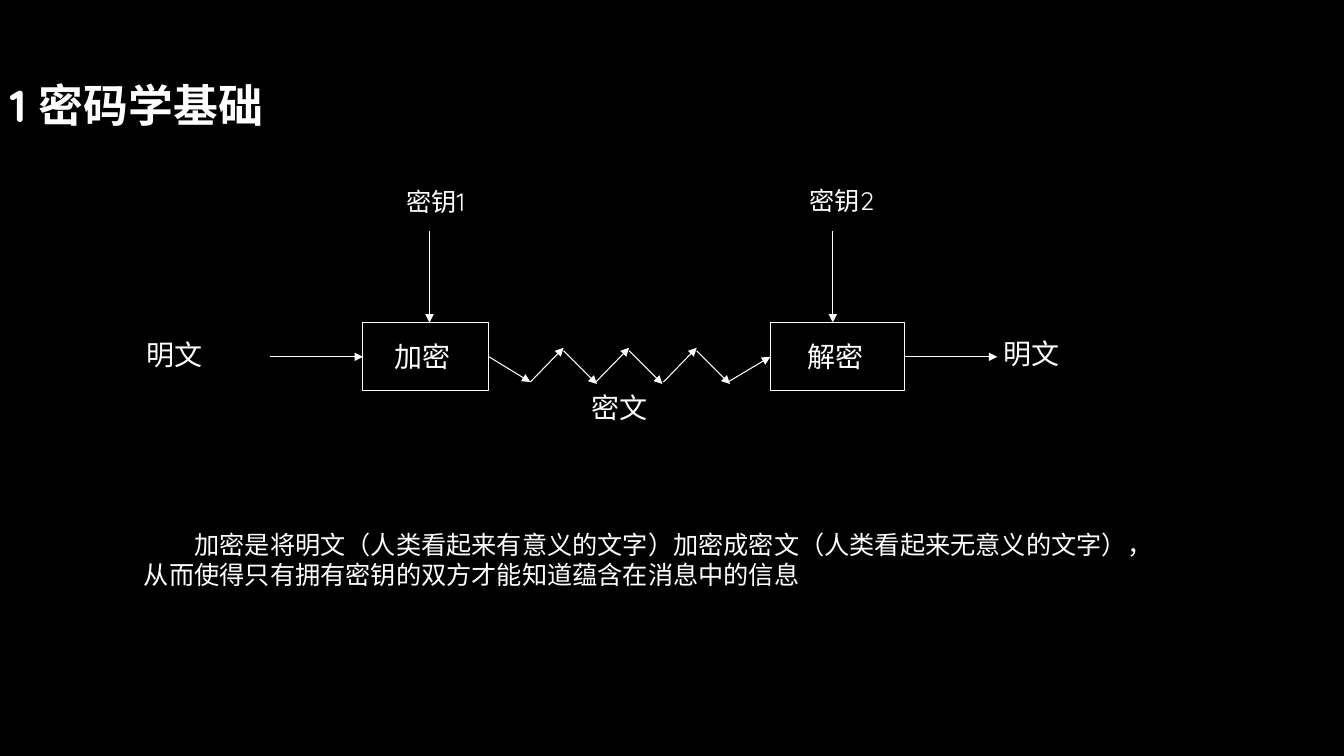
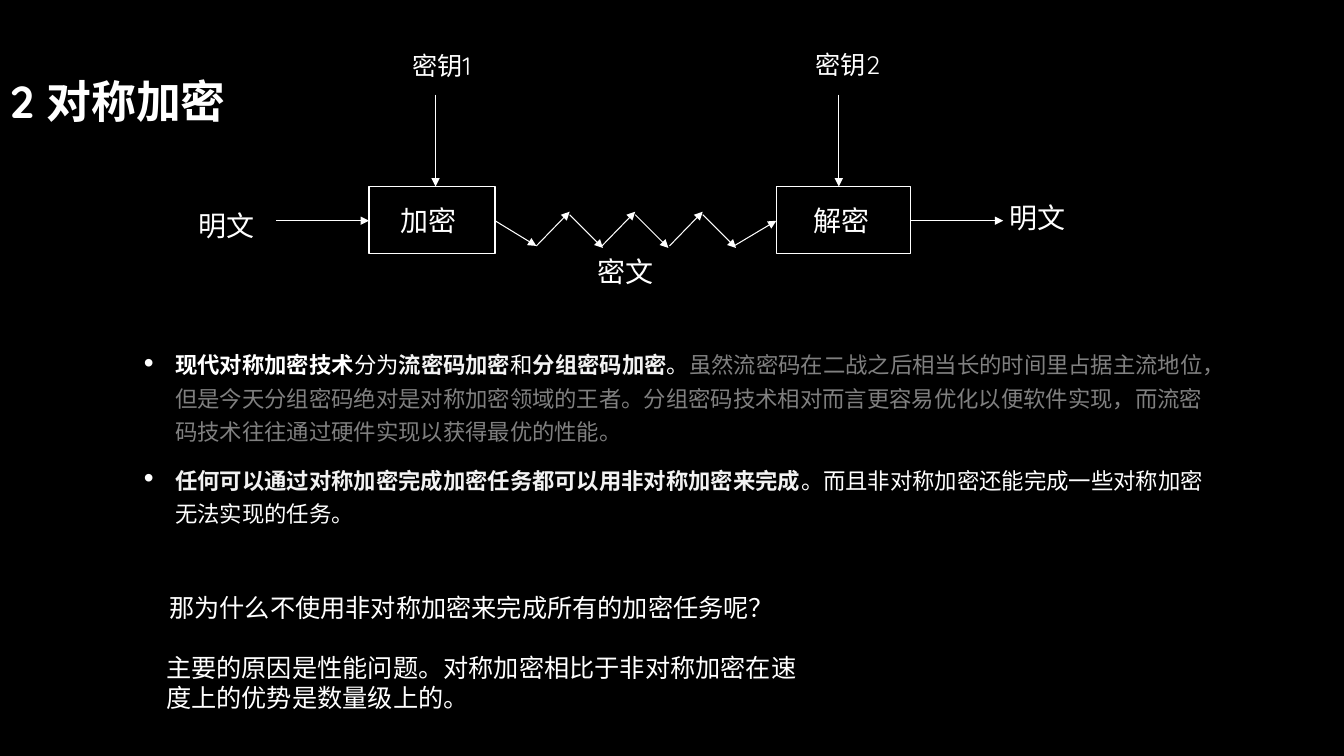
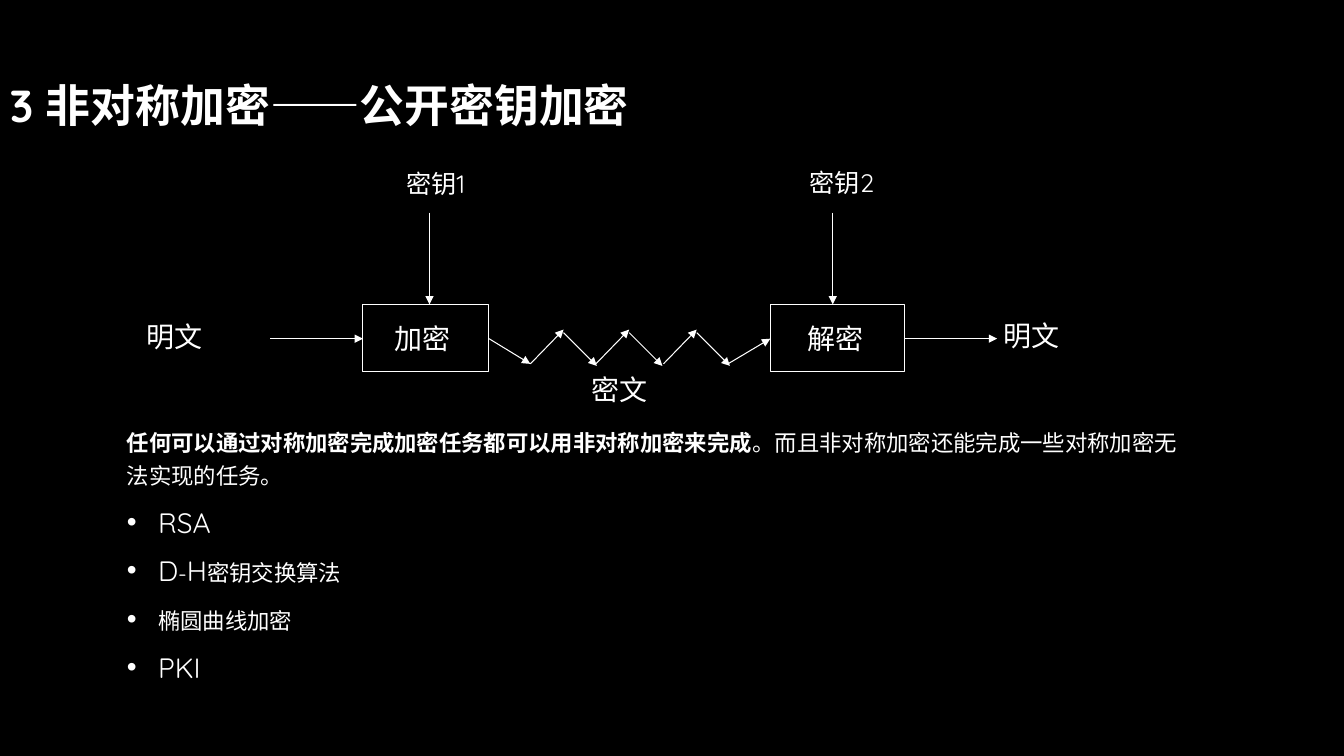
from lxml import etree
from pptx import Presentation
from pptx import util as u
from pptx.dml import color
from pptx.enum import shapes, text
from pptx.oxml import ns

Inches, Pt = u.Inches, u.Pt
FONT = "Quicksand"
WHITE, PALE, GREY = "FFFFFF", "F2F2F2", "808080"
TITLE_FADE = ("FFFFFF", "A6A6A6")
BODY_FADE = ("FFFFFF", "BFBFBF")


def paint(fill, start, end=None):
    """Fill with one hex colour, or with a downward fade between two."""
    if end is None:
        fill.solid()
        fill.fore_color.rgb = color.RGBColor.from_string(start)
        return
    fill.gradient()
    fill.gradient_angle = 267
    for stop, shade in zip(fill.gradient_stops, (start, end)):
        stop.color.rgb = color.RGBColor.from_string(shade)


def write(shape, paragraphs, size):
    """Write paragraphs, each a list of (words, colours, bold) runs."""
    frame = shape.text_frame
    frame.word_wrap = True
    for number, pieces in enumerate(paragraphs):
        paragraph = frame.add_paragraph() if number else frame.paragraphs[0]
        paragraph.alignment = text.PP_ALIGN.LEFT
        for words, colours, bold in pieces:
            run = paragraph.add_run()
            run.text = words
            run.font.name = FONT
            run.font.size = Pt(size)
            run.font.bold = bold
            paint(run.font.fill, *colours)
    return frame


# Content: title and its top, diagram shift, left and top of the first plaintext label
any_task = "任何可以通过对称加密完成加密任务都可以用非对称加密来完成"
more_tasks = "。而且非对称加密还能完成一些对称加密无法实现的任务。"
topics = [
    ("1 密码学基础", 0, (0, 0), (1.35, 3.3)),
    ("2 对称加密", -0.04, (0.06, -1.35), (1.87, 2.02)),
    ("3 非对称加密——公开密钥加密", 0, (0, -0.18), (1.35, 3.12)),
]

# Body paragraphs: (slide index, left, top, whether the first one has a bullet, paragraphs)
bodies = [
    (1, 1.33, 3.38, True, [
        [("现代对称加密技术", (WHITE,), True),
         ("分为", BODY_FADE, False),
         ("流密码加密", (PALE,), True),
         ("和", BODY_FADE, False),
         ("分组密码加密", (PALE,), True),
         ("。", BODY_FADE, False),
         ("虽然流密码在二战之后相当长的时间里占据主流地位，但是今天分组密码绝对是"
          "对称加密领域的王者。分组密码技术相对而言更容易优化以便软件实现，而流密"
          "码技术往往通过硬件实现以获得最优的性能。", (GREY,), False)],
        [(any_task, (PALE,), True), (more_tasks, BODY_FADE, False)],
    ]),
    (2, 1.16, 4.15, False, [
        [(any_task, BODY_FADE, True), (more_tasks, BODY_FADE, False)],
        *[[(method, BODY_FADE, False)]
          for method in ("RSA", "D-H密钥交换算法", "椭圆曲线加密", "PKI")],
    ]),
]

# Remarks: slide index, box, first-line indent, words
remarks = [
    (0, (1.33, 5.2, 10.13, 0.71), 0.5,
     "加密是将明文（人类看起来有意义的文字）加密成密文（人类看起来无意义的文字），"
     "从而使得只有拥有密钥的双方才能知道蕴含在消息中的信息"),
    (1, (1.58, 5.83, 10.59, 0.71), 0,
     "那为什么不使用非对称加密来完成所有的加密任务呢？"),
    (1, (1.55, 6.42, 6.67, 1.01), 0,
     "主要的原因是性能问题。对称加密相比于非对称加密在速度上的优势是数量级上的。"),
]

# Diagram parts, placed as on the first slide
stages = [("加密", 3.6, 1.25, 0.31), ("解密", 7.64, 1.33, 0.37)]
labels = [
    ("密钥2", 7.93, 1.79, 0.92, 18),
    ("密钥1", 3.93, 1.8, 0.9, 18),
    ("明文", 9.85, 3.29, 1.42, 20),
    ("密文", 5.77, 3.83, 1.67, 20),
]
arrows = [
    (2.68, 3.54, 3.6, 3.54),
    (8.97, 3.54, 9.89, 3.54),
    (4.26, 2.29, 4.26, 3.2),
    (8.26, 2.29, 8.26, 3.2),
    (4.85, 3.54, 5.26, 3.79),
    (7.22, 3.79, 7.64, 3.54),
]
for valley, peak in ((5.26, 5.59), (5.91, 6.24), (6.58, 6.91)):
    arrows.append((valley, 3.79, valley + 0.33, 3.45))
    arrows.append((peak, 3.48, peak + 0.33, 3.81))

# Deck with a black master
prs = Presentation()
prs.slide_width, prs.slide_height = Inches(13.33), Inches(7.5)
paint(prs.slide_master.background.fill, "000000")

# Title and encryption diagram on every slide
for title, title_top, (dx, dy), (plain_left, plain_top) in topics:
    slide = prs.slides.add_slide(prs.slide_layouts[6])
    heading = slide.shapes.add_textbox(0, Inches(title_top), Inches(10.83), Inches(2.08))
    frame = write(heading, [[(title, TITLE_FADE, True)]], 32)
    frame.vertical_anchor = text.MSO_ANCHOR.MIDDLE

    for words, left, width, inset in stages:
        stage = slide.shapes.add_shape(
            shapes.MSO_SHAPE.RECTANGLE,
            Inches(left + dx), Inches(3.2 + dy), Inches(width), Inches(0.67))
        stage.shadow.inherit = False
        stage.fill.background()
        paint(stage.line.fill, WHITE)
        stage.line.width = Pt(0.75)
        frame = write(stage, [[(words, (WHITE,), False)]], 20)
        frame.margin_left = Inches(inset)
        frame.vertical_anchor = text.MSO_ANCHOR.MIDDLE

    plaintext = ("明文", plain_left - dx, plain_top - dy, 1.42, 20)
    for words, left, top, width, size in [plaintext, *labels]:
        label = slide.shapes.add_textbox(
            Inches(left + dx), Inches(top + dy), Inches(width), Inches(0.44))
        write(label, [[(words, (WHITE,), False)]], size)

    for x1, y1, x2, y2 in arrows:
        arrow = slide.shapes.add_connector(
            shapes.MSO_CONNECTOR.STRAIGHT,
            Inches(x1 + dx), Inches(y1 + dy), Inches(x2 + dx), Inches(y2 + dy))
        paint(arrow.line.fill, WHITE)
        arrow.line.width = Pt(0.75)
        etree.SubElement(arrow.line._get_or_add_ln(), ns.qn("a:tailEnd"), type="triangle")
        etree.SubElement(arrow._element.spPr, ns.qn("a:effectLst"))

# Body text in small capitals, with bullets
for index, left, top, first_bullet, paragraphs in bodies:
    body = prs.slides[index].shapes.add_textbox(
        Inches(left), Inches(top), Inches(10.83), Inches(2.7))
    frame = write(body, paragraphs, 20)
    for number, paragraph in enumerate(frame.paragraphs):
        paragraph.space_after = Pt(6)
        if number:
            paragraph.space_before = Pt(4.5)
        for run in paragraph.runs:
            run.font._element.set("cap", "small")
        if number or first_bullet:
            props = paragraph._p.get_or_add_pPr()
            props.set("marL", str(Inches(0.31)))
            props.set("indent", str(-Inches(0.31)))
            tint = etree.SubElement(props, ns.qn("a:buClr"))
            etree.SubElement(tint, ns.qn("a:srgbClr"), val=WHITE)
            etree.SubElement(props, ns.qn("a:buFont"), typeface="Arial")
            etree.SubElement(props, ns.qn("a:buChar"), char="•")

# Remarks below the diagrams
for index, box, indent, words in remarks:
    remark = prs.slides[index].shapes.add_textbox(*map(Inches, box))
    frame = write(remark, [[(words, (WHITE,), False)]], 18)
    if indent:
        frame.paragraphs[0]._p.get_or_add_pPr().set("indent", str(Inches(indent)))

prs.save("out.pptx")
